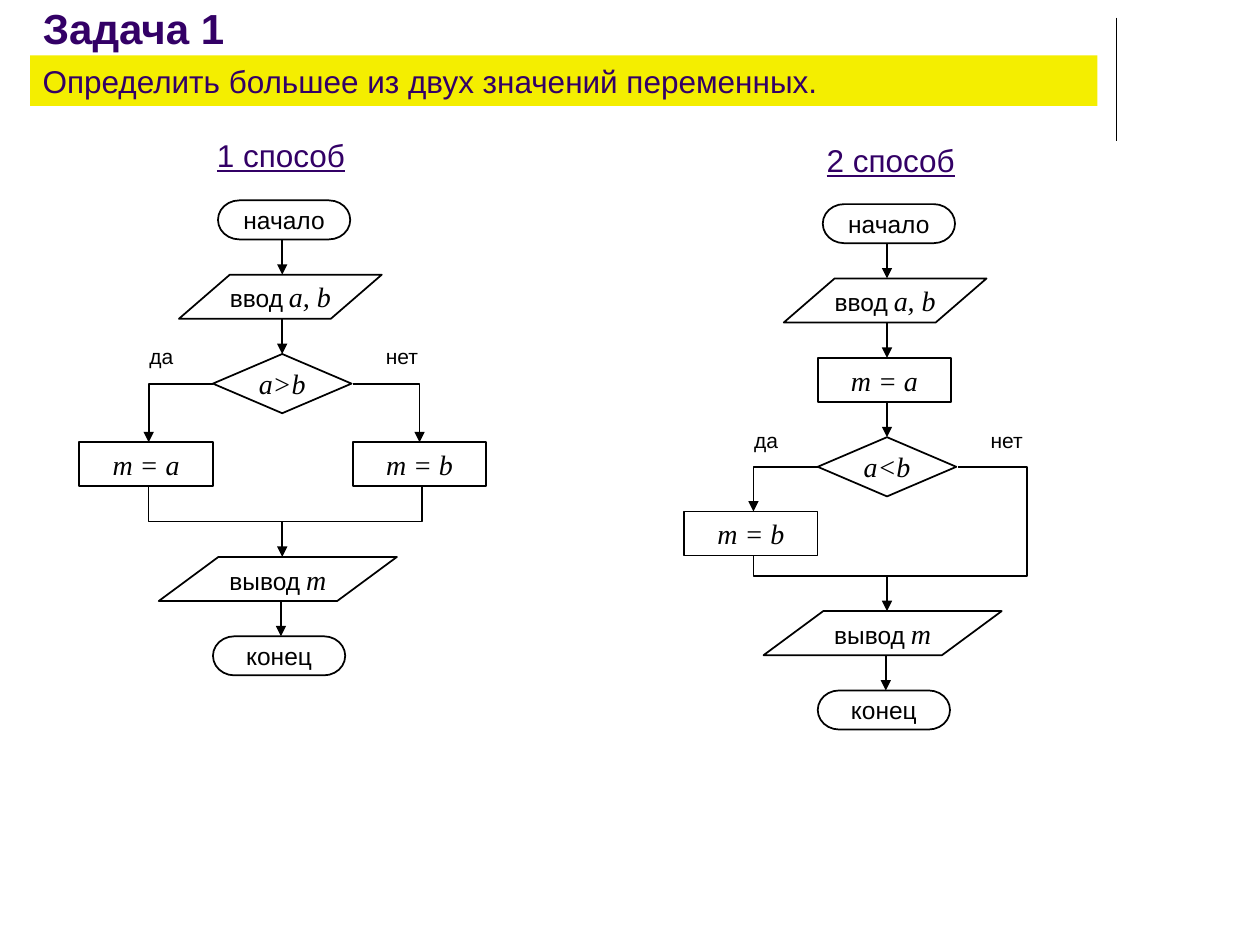
from lxml import etree
from pptx import Presentation
from pptx.dml.color import RGBColor
from pptx.enum.shapes import MSO_CONNECTOR, MSO_SHAPE
from pptx.enum.text import MSO_ANCHOR, MSO_AUTO_SIZE, PP_ALIGN
from pptx.oxml.ns import qn
from pptx.util import Inches, Pt

TERMINATOR = MSO_SHAPE.FLOWCHART_TERMINATOR
DECISION = MSO_SHAPE.FLOWCHART_DECISION
DATA = MSO_SHAPE.PARALLELOGRAM
RECT = MSO_SHAPE.RECTANGLE
STRAIGHT = MSO_CONNECTOR.STRAIGHT
TOP, MIDDLE, BOTTOM = MSO_ANCHOR.TOP, MSO_ANCHOR.MIDDLE, MSO_ANCHOR.BOTTOM
LEFT, CENTER = PP_ALIGN.LEFT, PP_ALIGN.CENTER

COLORS = {"title": "330066", "bar": "F4EE00", "ink": "000000", "paper": "FFFFFF"}
WORD = ("Arial", 14, False)
GAP = ("Arial", 12, False)
MATH = ("Times New Roman", 16, True)

# Sizes of flowchart parts and the x of the main axis, in inches
AXIS = 1.61
TERM_W, TERM_H = 1.05, 0.31
BOX_W, BOX_H = 1.06, 0.35
DEC_W, DEC_H = 1.1, 0.47
STEP = 0.28


def rgb(name):
    return RGBColor.from_string(COLORS[name])


def write(sp, runs, color="ink", align=CENTER, anchor=MIDDLE, inset=None):
    """Fill a shape with one paragraph of (text, (font, size, italic)) runs."""
    tf = sp.text_frame
    tf.word_wrap = True
    tf.auto_size = MSO_AUTO_SIZE.NONE
    tf.vertical_anchor = anchor
    if inset is not None:
        tf.margin_left = tf.margin_right = Inches(inset)
        tf.margin_top = tf.margin_bottom = Inches(inset)
    p = tf.paragraphs[0]
    p.alignment = align
    for text, (font, size, italic) in runs:
        r = p.add_run()
        r.text = text
        r.font.name, r.font.size, r.font.italic = font, Pt(size), italic
        r.font.color.rgb = rgb(color)
    return p


def set_line(sp, arrow=False, width=1):
    sp.line.color.rgb = rgb("ink")
    sp.line.width = Pt(width)
    if arrow:
        ln = sp.line._get_or_add_ln()
        etree.SubElement(ln, qn("a:tailEnd"), type="triangle")


def add_line(slide, x1, y1, x2, y2, arrow=False, width=1):
    s = slide.shapes.add_connector(
        STRAIGHT, Inches(x1), Inches(y1), Inches(x2), Inches(y2))
    set_line(s, arrow, width)
    etree.SubElement(s._element.spPr, qn("a:effectLst"))


def add_label(slide, x, y, w, h, text, size, color="ink", inset=None):
    s = slide.shapes.add_textbox(Inches(x), Inches(y), Inches(w), Inches(h))
    return write(s, [(text, ("Arial", size, False))], color, anchor=TOP, inset=inset)


class Flowchart:
    """Draws flowchart parts relative to the top-left corner of its box."""

    def __init__(self, slide, left, top):
        self.slide, self.left, self.top = slide, left, top

    def node(self, kind, x, y, w, h, *runs):
        s = self.slide.shapes.add_shape(
            kind, Inches(self.left + x), Inches(self.top + y), Inches(w), Inches(h))
        s.shadow.inherit = False
        s.fill.solid()
        s.fill.fore_color.rgb = rgb("paper")
        set_line(s)
        write(s, runs, inset=0)
        return s

    def data(self, x, y, w, slant, word, variables):
        s = self.node(DATA, x, y, w, BOX_H, (word, WORD), (" ", GAP), (variables, MATH))
        s.adjustments[0] = slant

    def assign(self, x, y, text):
        self.node(RECT, x, y, BOX_W, BOX_H, (text, MATH))

    def down(self, y, x=AXIS):
        add_line(self.slide, self.left + x, self.top + y,
                 self.left + x, self.top + y + STEP, arrow=True)

    def route(self, *points, arrow=False):
        pts = [(Inches(self.left + x), Inches(self.top + y)) for x, y in points]
        builder = self.slide.shapes.build_freeform(*pts[0])
        builder.add_line_segments(pts[1:], close=False)
        s = builder.convert_to_shape()
        s.shadow.inherit = False
        s.fill.background()
        set_line(s, arrow)

    def opening(self):
        self.node(TERMINATOR, 1.1, 0, TERM_W, TERM_H, ("начало", WORD))
        self.data(0.79, 0.59, 1.61, 1.155, "ввод", "a, b")
        self.down(TERM_H)
        self.down(0.59 + BOX_H)

    def decision(self, y, text):
        self.node(DECISION, 1.06, y, DEC_W, DEC_H, (text, MATH))
        for x, answer in ((0.39, "да"), (2.3, "нет")):
            add_label(self.slide, self.left + x, self.top + y - 0.08,
                      0.52, 0.3, answer, 12, inset=0)

    def branch(self, dec_y, box_y, start_x, end_x):
        mid = dec_y + DEC_H / 2
        self.route((start_x, mid), (end_x, mid), (end_x, box_y), arrow=True)

    def closing(self, y):
        self.down(y - STEP)
        self.data(0.63, y, 1.89, 1.354, "вывод", "m")
        self.down(y + BOX_H, AXIS - 0.01)
        self.node(TERMINATOR, 1.06, y + BOX_H + STEP, TERM_W, TERM_H, ("конец", WORD))


def two_way_chart(slide, left, top):
    """Both branches assign the result."""
    fc = Flowchart(slide, left, top)
    dec, box, out = 1.22, 1.92, 2.83
    fc.opening()
    fc.decision(dec, "a>b")
    fc.branch(dec, box, 1.06, 0.55)
    fc.branch(dec, box, 2.17, 2.7)
    fc.assign(0, box, "m = a")
    fc.assign(2.17, box, "m = b")
    base, merge = box + BOX_H, out - STEP
    fc.route((0.55, base), (0.55, merge), (2.72, merge), (2.72, base))
    fc.closing(out)


def one_way_chart(slide, left, top):
    """The result is assigned first and replaced on one branch only."""
    fc = Flowchart(slide, left, top)
    first, dec, box, out = 1.22, 1.85, 2.44, 3.23
    fc.opening()
    fc.assign(1.06, first, "m = a")
    fc.down(first + BOX_H)
    fc.decision(dec, "a<b")
    fc.branch(dec, box, 1.06, 0.55)
    fc.assign(0, box, "m = b")
    merge, mid = out - STEP, dec + DEC_H / 2
    fc.route((0.55, box + BOX_H), (0.55, merge), (2.72, merge), (2.72, mid), (2.17, mid))
    fc.closing(out)


def header(slide, left, top):
    title = slide.shapes.title
    title.left, title.top = Inches(left), Inches(top)
    title.width, title.height = Inches(8.25), Inches(0.47)
    p = write(title, [("Задача 1", ("Arial", 24, False))], "title", LEFT, BOTTOM)
    p.runs[0].font.bold = True

    bar = slide.shapes.add_shape(
        RECT, Inches(left), Inches(top + 0.44), Inches(8.47), Inches(0.4))
    bar.shadow.inherit = False
    bar.fill.solid()
    bar.fill.fore_color.rgb = rgb("bar")
    bar.line.fill.background()
    write(bar, [("Определить большее из двух значений переменных.",
                 ("Arial", 18, False))], "title", LEFT)
    add_line(slide, 8.86, 0.14, 8.86, 1.12, width=0.75)


def method(slide, x, y, heading, chart, left, top):
    p = add_label(slide, x, y, 1.46, 0.4, heading, 18, "title")
    p.runs[0].font.underline = True
    chart(slide, left, top)


def main():
    prs = Presentation()
    prs.slide_width, prs.slide_height = Inches(10), Inches(7.5)
    slide = prs.slides.add_slide(prs.slide_layouts[5])
    header(slide, 0.24, 0)
    method(slide, 1.5, 1.03, "1 способ", two_way_chart, 0.63, 1.59)
    method(slide, 6.34, 1.07, "2 способ", one_way_chart, 5.43, 1.62)
    prs.save("out.pptx")


if __name__ == "__main__":
    main()
